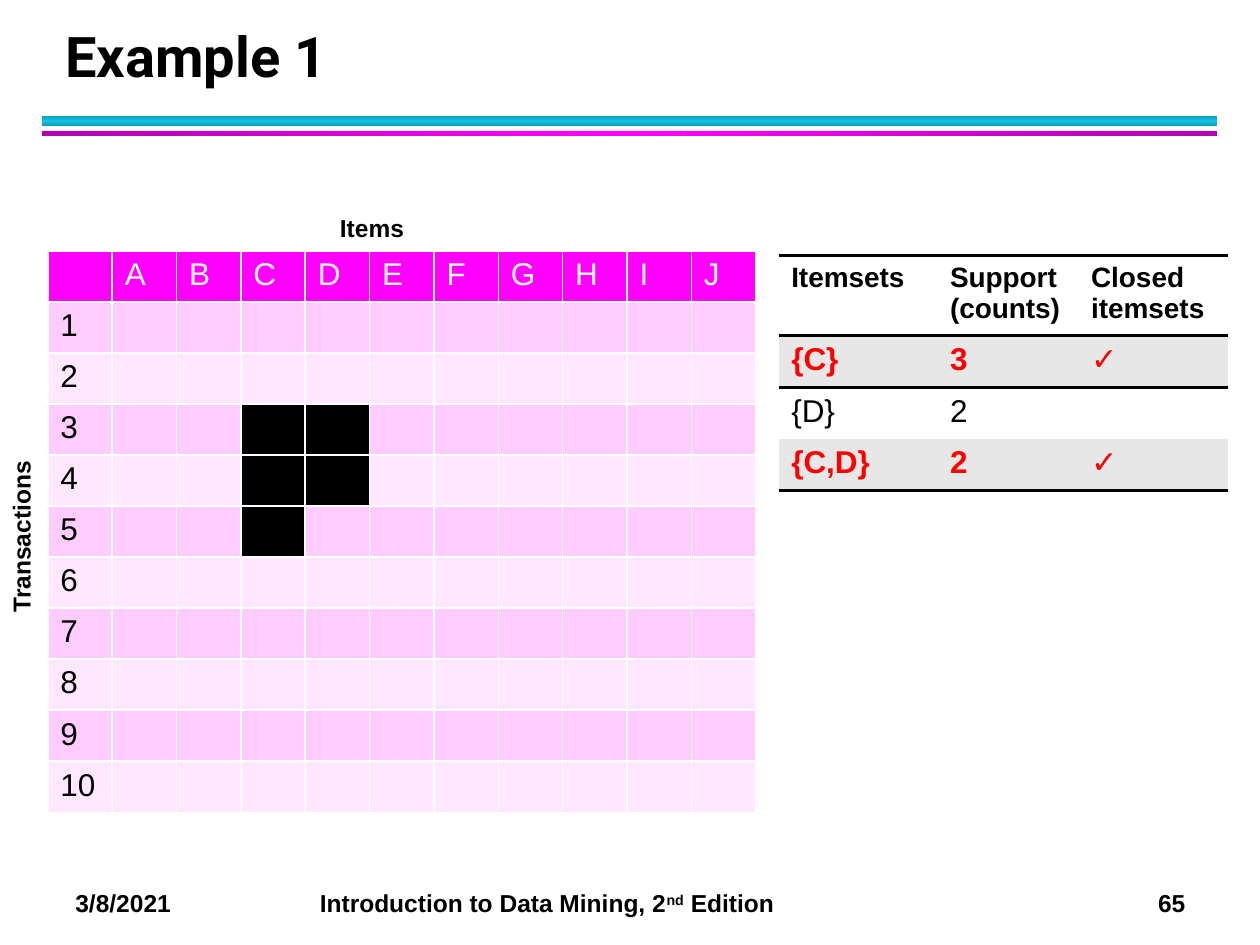
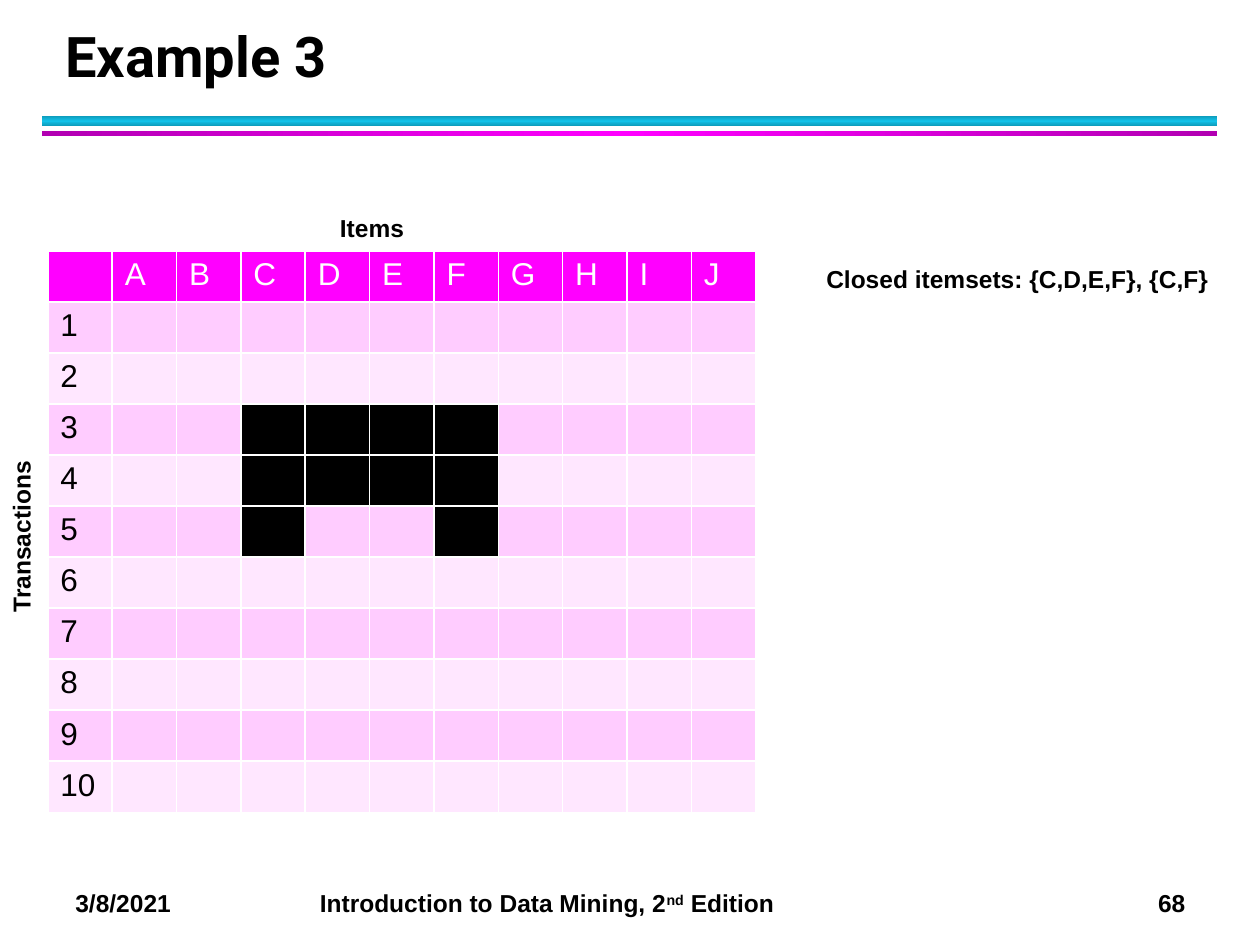
from copy import deepcopy
from dataclasses import dataclass

from lxml.etree import SubElement
from pptx import Presentation
from pptx.dml.color import RGBColor
from pptx.enum.shapes import MSO_SHAPE
from pptx.enum.text import MSO_ANCHOR, MSO_AUTO_SIZE
from pptx.oxml.ns import qn
from pptx.util import Inches, Pt


@dataclass(frozen=True)
class Theme:
    black: str = "000000"
    white: str = "FFFFFF"
    red: str = "FF0000"
    header: str = "FF00FF"
    odd_row: str = "FFCCFF"
    even_row: str = "FFE7FF"
    gray: str = "E7E7E7"
    cyan_bar: tuple = ("0E9BBA", "12C2E9", "0E9BBA")
    magenta_bar: tuple = ("B200B2", "FF00FF", "B200B2")
    body_font: str = "Arial"
    title_font: str = "Roboto"
    title_size: int = 32
    cell_size: int = 18
    heading_size: int = 16
    label_size: int = 14


THEME = Theme()
NO_STYLE = "{2D5ABB26-0587-4C30-8999-92F81FD0307C}"
ITEMS = "ABCDEFGHIJ"
TRANSACTIONS = 10
EXAMPLES = [
    {"title": "Example 1", "page": "65", "baskets": {3: "CD", 4: "CD", 5: "C"}},
    {"title": "Example 3", "page": "68", "baskets": {3: "CDEF", 4: "CDEF", 5: "CF"}},
]
ITEMSETS = [
    ("Itemsets", "Support\n(counts)", "Closed itemsets"),
    ("{C}", "3", "✓"),
    ("{D}", "2", ""),
    ("{C,D}", "2", "✓"),
]


def write_text(frame, *runs, size=THEME.label_size, color=THEME.black,
               bold=True, font=THEME.body_font):
    """Put the runs in one frame, all in one format; a line break starts a paragraph."""
    frame.text = runs[0]
    for extra in runs[1:]:
        frame.paragraphs[-1].add_run().text = extra
    look = {"size": Pt(size), "bold": bold, "name": font}
    for paragraph in frame.paragraphs:
        for run in paragraph.runs:
            for attribute, value in look.items():
                setattr(run.font, attribute, value)
            run.font.color.rgb = RGBColor.from_string(color)


def paint_cell(cell, fill, borders):
    """Fill a cell and draw borders, given as side (L, R, T, B) to (colour, points)."""
    cell.fill.solid()
    cell.fill.fore_color.rgb = RGBColor.from_string(fill)
    properties = cell._tc.get_or_add_tcPr()
    for index, side in enumerate(s for s in "LRTB" if s in borders):
        color, points = borders[side]
        line = SubElement(properties, qn(f"a:ln{side}"), w=str(Pt(points)))
        SubElement(SubElement(line, qn("a:solidFill")), qn("a:srgbClr"), val=color)
        properties.insert(index, line)


prs = Presentation()
prs.slide_width, prs.slide_height = Inches(10), Inches(7.5)

for example in EXAMPLES:
    slide = prs.slides.add_slide(prs.slide_layouts[6])
    shapes = slide.shapes

    # Double rule under the title
    for top, height, colors, angle in ((0.92, 0.08, THEME.cyan_bar, 90),
                                       (1.04, 0.04, THEME.magenta_bar, 0)):
        bar = shapes.add_shape(MSO_SHAPE.RECTANGLE, Inches(0.33), Inches(top),
                               Inches(9.33), Inches(height))
        bar.shadow.inherit = False
        bar.line.fill.background()
        bar.fill.gradient()
        bar.fill.gradient_angle = angle
        stops = bar._element.spPr.find(".//" + qn("a:gsLst"))
        stops.insert(1, deepcopy(stops[0]))
        for stop, position, color in zip(bar.fill.gradient_stops, (0, 0.5, 1), colors):
            stop.position = position
            stop.color.rgb = RGBColor.from_string(color)

    # Footer: date, book and page number on tab stops
    footer = shapes.add_textbox(Inches(0.5), Inches(7), Inches(9.33), Inches(0.34)).text_frame
    footer.word_wrap = True
    write_text(footer, "3/8/2021\tIntroduction to Data Mining, 2", "nd",
               f" Edition\t{example['page']}")
    footer.paragraphs[0].runs[1].font._element.set("baseline", "30000")
    tabs = SubElement(footer.paragraphs[0]._p.get_or_add_pPr(), qn("a:tabLst"))
    for position, alignment in ((1.94, "l"), (8.81, "r")):
        SubElement(tabs, qn("a:tab"), pos=str(Inches(position)), algn=alignment)

    title = shapes.add_textbox(Inches(0.42), Inches(0.17), Inches(9.06), Inches(0.58)).text_frame
    title.word_wrap = True
    title.vertical_anchor = MSO_ANCHOR.BOTTOM
    write_text(title, example["title"], size=THEME.title_size, font=THEME.title_font)
    title.paragraphs[0].line_spacing = Pt(36)

    # Transactions by items, with the items of each basket in black
    grid_frame = shapes.add_table(TRANSACTIONS + 1, len(ITEMS) + 1, Inches(0.38), Inches(1.99),
                                  Inches(5.62), Inches(4.46))
    grid = grid_frame.table
    grid._tbl.tblPr.find(qn("a:tableStyleId")).text = NO_STYLE
    for row_number, row in enumerate(grid.rows):
        row.height = Inches(4.46 / (TRANSACTIONS + 1))
        row_fill = THEME.odd_row if row_number % 2 else THEME.even_row
        basket = example["baskets"].get(row_number, "")
        for item, cell in zip(" " + ITEMS, row.cells):
            fill = THEME.black if item in basket else row_fill
            paint_cell(cell, fill if row_number else THEME.header,
                       dict.fromkeys("LRTB", (THEME.white, 1)))
            if row_number == 0 and item != " ":
                write_text(cell.text_frame, item, size=THEME.cell_size,
                           color=THEME.white, bold=False)
            elif row_number and item == " ":
                write_text(cell.text_frame, str(row_number), size=THEME.cell_size, bold=False)

    labels = [("Items", 2.6, 1.64, 0.77, 0), ("Transactions", -0.54, 4.02, 1.48, 270)]
    if example["title"] == "Example 3":
        labels.append(("Closed itemsets: {C,D,E,F}, {C,F}", 6.46, 2.05, 3.4, 0))
    for text, left, top, width, rotation in labels:
        label = shapes.add_textbox(Inches(left), Inches(top), Inches(width), Inches(0.4))
        label.rotation = rotation
        label.text_frame.word_wrap = False
        label.text_frame.auto_size = MSO_AUTO_SIZE.SHAPE_TO_FIT_TEXT
        write_text(label.text_frame, text)

# Support of each itemset on the first slide; closed ones in red
support = prs.slides[0].shapes.add_table(len(ITEMSETS), 3, Inches(6.18), Inches(2.03),
                                         Inches(3.57), Inches(1.86)).table
support._tbl.tblPr.find(qn("a:tableStyleId")).text = NO_STYLE
for column, width in zip(support.columns, (1.26, 1.12, 1.19)):
    column.width = Inches(width)
rule = (THEME.black, 2)
for row_number, (row, values) in enumerate(zip(support.rows, ITEMSETS)):
    heading = row_number == 0
    closed = values[2] == "✓"
    row.height = Inches(0.63 if heading else 0.41)
    borders = {"T": rule, "B": rule} if heading else {}
    if row_number == 1:
        borders = {"T": rule}
    elif row_number == len(ITEMSETS) - 1:
        borders = {"B": rule}
    for cell, value in zip(row.cells, values):
        paint_cell(cell, THEME.gray if row_number % 2 else THEME.white, borders)
        if value:
            write_text(cell.text_frame, value, bold=heading or closed,
                       size=THEME.heading_size if heading else THEME.cell_size,
                       color=THEME.red if closed else THEME.black)

prs.save("out.pptx")
